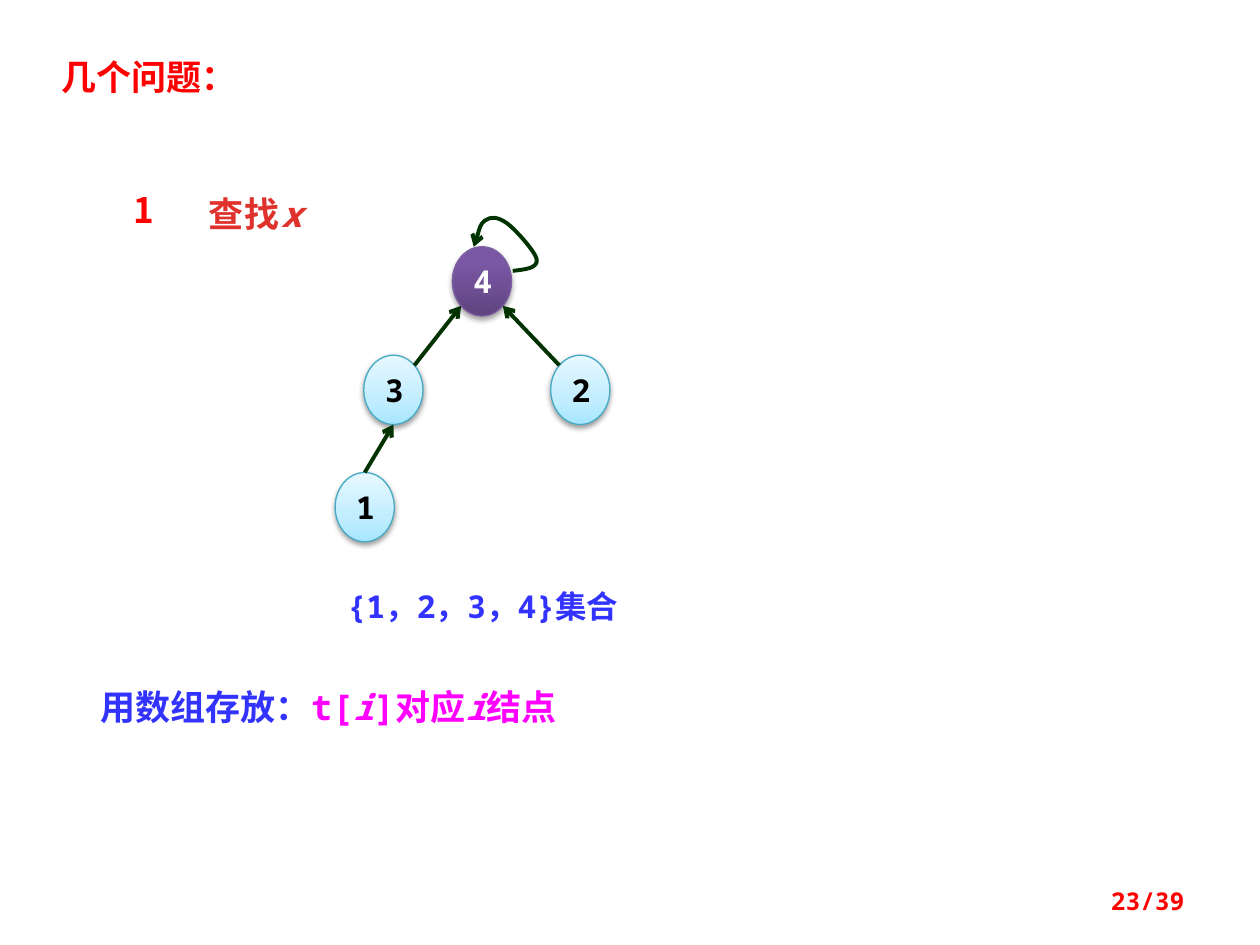
import math

from lxml import etree
from pptx import Presentation
from pptx import util as u
from pptx.dml.color import RGBColor
from pptx.enum import shapes, text
from pptx.oxml import parse_xml
from pptx.oxml.ns import nsdecls, qn

Pt = u.Pt
CJK, MONO = "Noto Sans CJK SC", "Noto Sans Mono"
RED, BLUE, MAGENTA, GREEN = "FF0000", "3333FF", "FF00FF", "003300"
NODE_W, NODE_H = 33.84, 39.6
PURPLE = dict(stops=[(0, "5F4480"), (80, "7B58A6"), (100, "7C57A8")],
              edge="7D60A0", font="FFFFFF", alpha=35, dist=1.8)
CYAN = dict(stops=[(0, "A7E6FF"), (35, "C1EDFF"), (100, "E7F8FF")],
            edge="46AAC5", font="000000", alpha=38, dist=1.6)


def rgb(value):
    return RGBColor.from_string(value)


def style_run(r, size, color, font=MONO, italic=False):
    r.font.size, r.font.bold, r.font.italic = Pt(size), True, italic
    r.font.name = font
    r.font.color.rgb = rgb(color)
    r.font._element.find(qn("a:latin")).addnext(
        parse_xml(f'<a:ea {nsdecls("a")} typeface="{CJK}"/>'))


def add_label(s, box, runs, size=20, font=MONO, align=text.PP_ALIGN.LEFT,
              anchor=text.MSO_ANCHOR.TOP, spacing=0):
    """Each run is (words, colour) or (words, colour, italic)."""
    tf = s.shapes.add_textbox(*map(Pt, box)).text_frame
    tf.word_wrap, tf.vertical_anchor = True, anchor
    p = tf.paragraphs[0]
    p.alignment = align
    for words, color, *italic in runs:
        r = p.add_run()
        r.text = words
        style_run(r, size, color, font, bool(italic))
        if spacing:
            r.font._element.set("spc", str(int(spacing * 100)))


def add_node(s, left, top, label, look):
    sp = s.shapes.add_shape(shapes.MSO_SHAPE.OVAL, *map(Pt, (left, top, NODE_W, NODE_H)))
    sp.line.color.rgb, sp.line.width = rgb(look["edge"]), Pt(0.75)
    stops = "".join(f'<a:gs pos="{pos * 1000}"><a:srgbClr val="{c}"/></a:gs>'
                    for pos, c in look["stops"])
    sp._element.spPr.find(qn("a:ln")).addprevious(parse_xml(
        f'<a:gradFill {nsdecls("a")}><a:gsLst>{stops}</a:gsLst>'
        '<a:lin ang="16200000" scaled="0"/></a:gradFill>'))
    sp._element.spPr.append(parse_xml(
        f'<a:effectLst {nsdecls("a")}><a:outerShdw blurRad="{Pt(3.1)}" '
        f'dist="{Pt(look["dist"])}" dir="5400000" rotWithShape="0"><a:srgbClr val="000000">'
        f'<a:alpha val="{look["alpha"] * 1000}"/></a:srgbClr></a:outerShdw></a:effectLst>'))
    tf = sp.text_frame
    tf.text = label
    tf.vertical_anchor = text.MSO_ANCHOR.MIDDLE
    p = tf.paragraphs[0]
    p.alignment = text.PP_ALIGN.CENTER
    style_run(p.runs[0], 18, look["font"])


def rim(corner, degrees):
    """Point on a node's outline, clockwise from the right."""
    a = math.radians(degrees)
    return (corner[0] + NODE_W / 2 * (1 + math.cos(a)),
            corner[1] + NODE_H / 2 * (1 + math.sin(a)))


def style_arrow(sp):
    sp.line.color.rgb, sp.line.width = rgb(GREEN), Pt(2.25)
    etree.SubElement(sp.line._get_or_add_ln(), qn("a:tailEnd"), type="arrow")


def add_arrow(s, start, end):
    c = s.shapes.add_connector(shapes.MSO_CONNECTOR.STRAIGHT, *map(Pt, start + end))
    style_arrow(c)
    etree.SubElement(c._element.spPr, qn("a:effectLst"))


def add_root_loop(s, left, top):
    points = [(22.3, 31), (29.5, 30.2), (36.7, 29.5), (36, 24.5), (35.3, 20.2),
              (23.8, 7.2), (18.7, 3.6), (13.7, 0), (9.4, 0), (6.5, 2.2),
              (3.6, 4.3), (2.2, 10.8), (0, 17.3)]
    points = [(Pt(left + x), Pt(top + y)) for x, y in points]
    fb = s.shapes.build_freeform(*points[0])
    fb.add_line_segments(points[1:], close=False)
    sp = fb.convert_to_shape()
    sp.fill.background()
    sp.shadow.inherit = False
    style_arrow(sp)
    # Every three straight segments become one cubic curve.
    path = next(sp._element.iter(qn("a:path")))
    segments = path.findall(qn("a:lnTo"))
    for i in range(0, len(segments), 3):
        curve = etree.SubElement(path, qn("a:cubicBezTo"))
        for segment in segments[i:i + 3]:
            curve.append(segment[0])
            path.remove(segment)


def add_tree(s, left, top):
    root, n3, n2, n1 = [(left + x, top + y) for x, y in
                        ((67, 17.5), (16.4, 79.5), (123.2, 79.5), (0, 146.5))]
    add_node(s, *root, "4", PURPLE)
    for corner, label in ((n3, "3"), (n2, "2"), (n1, "1")):
        add_node(s, *corner, label, CYAN)
    add_arrow(s, rim(n3, -45), rim(root, 135))
    add_arrow(s, rim(n2, -135), rim(root, 45))
    add_arrow(s, rim(n1, -90), rim(n3, 90))
    add_root_loop(s, left + 79.2, top + 0.3)
    add_label(s, (left, top + 208.4, 196.6, 28.8), [("{1，2，3，4}集合", BLUE)], 18)


def main():
    prs = Presentation()
    prs.slide_width, prs.slide_height = Pt(720), Pt(540)
    s = prs.slides.add_slide(prs.slide_layouts[6])
    add_label(s, (28.1, 28.1, 230.4, 31.7), [("几个问题：", RED)], font=CJK)
    add_label(s, (67, 104.4, 30.2, 31.7), [("1", RED)], font=CJK,
              align=text.PP_ALIGN.CENTER)
    add_label(s, (112.3, 106.6, 118, 31.7),
              [("查找", "E0322D"), ("x", "E0322D", True)], spacing=0.5)
    add_tree(s, 191.5, 123.5)
    add_label(s, (50.4, 388, 365.8, 31.7),
              [("用数组存放：", BLUE), ("t[", MAGENTA), ("i", MAGENTA, True),
               ("]对应", MAGENTA), ("i", MAGENTA, True), ("结点", MAGENTA)])
    add_label(s, (516.2, 500.4, 167.8, 28.8), [("23/39", RED)], 14,
              align=text.PP_ALIGN.RIGHT, anchor=text.MSO_ANCHOR.MIDDLE)
    prs.save("out.pptx")


if __name__ == "__main__":
    main()
